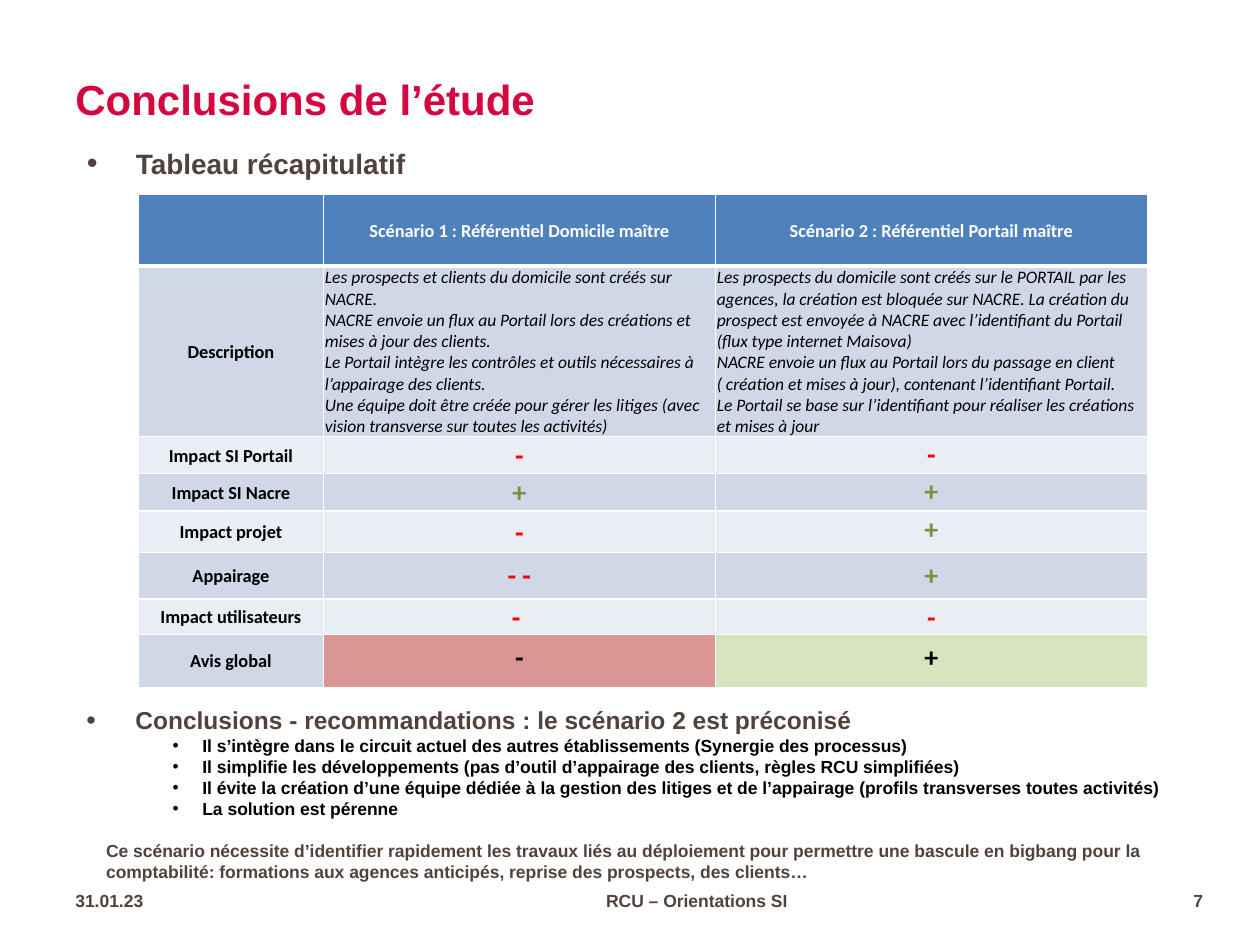
"""Build the slide that sums up the study and recommends scenario 2."""
from dataclasses import dataclass

from lxml import etree
from pptx import Presentation
from pptx import util as u
from pptx.dml.color import RGBColor
from pptx.enum import text
from pptx.oxml import ns


@dataclass(frozen=True)
class Theme:
    body_font: str = "Arial"
    table_font: str = "Calibri"
    title: str = "D40740"
    brown: str = "52423C"
    black: str = "000000"
    white: str = "FFFFFF"
    header: str = "4F81BD"
    dark_band: str = "D0D8E8"
    light_band: str = "E9EDF4"
    bad: str = "FF0000"
    good: str = "77933C"
    bad_fill: str = "D99694"
    good_fill: str = "D7E4BD"
    title_size: float = 24
    heading_size: float = 16
    subheading_size: float = 14
    small_size: float = 10
    label_size: float = 10.5
    mark_size: float = 16


theme = Theme()
ALIGN, ANCHOR = text.PP_ALIGN, text.MSO_ANCHOR


def write(frame, lines, size, color, name=theme.body_font, align=ALIGN.LEFT, bold=True, italic=False):
    paras = []
    for line in lines:
        para = frame.add_paragraph() if frame.text else frame.paragraphs[0]
        para.text, para.alignment = line, align
        para.font.name, para.font.size = name, u.Pt(size)
        para.font.bold, para.font.italic = bold, italic
        para.font.color.rgb = RGBColor.from_string(color)
        paras.append(para)
    return paras


def indent(para, left, first, bullet_percent=100):
    props = para._p.get_or_add_pPr()
    props.set("marL", str(u.Cm(left)))
    props.set("indent", str(u.Cm(first)))
    if first:
        etree.SubElement(props, ns.qn("a:buSzPct"), val=str(bullet_percent * 1000))
        etree.SubElement(props, ns.qn("a:buFont"), typeface=theme.body_font)
        etree.SubElement(props, ns.qn("a:buChar"), char="•")


deck = Presentation()
deck.slide_width, deck.slide_height = u.Cm(25.4), u.Cm(19.05)
page = deck.slides.add_slide(deck.slide_layouts[6])

boxes = {
    "title": (1.27, 0.74, 18.97, 2.64, ANCHOR.MIDDLE),
    "heading": (1.5, 2.82, 20.22, 1.09, ANCHOR.TOP),
    "date": (1.27, 17.65, 3.61, 1.02, ANCHOR.MIDDLE),
    "footer": (4.95, 17.65, 18.19, 1.02, ANCHOR.MIDDLE),
    "number": (23.18, 17.65, 1.32, 1.02, ANCHOR.MIDDLE),
    "conclusions": (1.49, 14.09, 23.01, 4.57, ANCHOR.TOP),
}
frames = {}
for label, (*place, anchor) in boxes.items():
    box = page.shapes.add_textbox(*map(u.Cm, place))
    frames[label] = box.text_frame
    frames[label].word_wrap, frames[label].vertical_anchor = True, anchor

title, = write(frames["title"], ["Conclusions de l’étude"], theme.title_size, theme.title)
title.line_spacing = 0.9
heading, = write(frames["heading"], ["Tableau récapitulatif"], theme.heading_size, theme.brown)
indent(heading, 0.99, -0.99, 110)

for label, line, align in (
    ("date", "31.01.23", ALIGN.LEFT),
    ("footer", "RCU – Orientations SI", ALIGN.CENTER),
    ("number", "7", ALIGN.RIGHT),
):
    write(frames[label], [line], theme.small_size, theme.brown, align=align)

scenarios = ["", "Scénario 1 : Référentiel Domicile maître", "Scénario 2 : Référentiel Portail maître"]
descriptions = [
    [
        "Les prospects et clients du domicile sont créés sur NACRE.",
        "NACRE envoie un flux au Portail lors des créations et mises à jour des clients.",
        "Le Portail intègre les contrôles et outils nécessaires à l’appairage des clients.",
        "Une équipe doit être créée pour gérer les litiges (avec vision transverse sur toutes les activités)",
    ],
    [
        "Les prospects du domicile sont créés sur le PORTAIL par les agences, la création est bloquée sur NACRE. "
        "La création du prospect est envoyée à NACRE avec l’identifiant du Portail (flux type internet Maisova)",
        "NACRE envoie un flux au Portail lors du passage en client ( création et mises à jour), "
        "contenant l’identifiant Portail.",
        "Le Portail se base sur l’identifiant pour réaliser les créations et mises à jour",
    ],
]
rows = [
    (1.44, scenarios),
    (3.44, ["Description", *descriptions]),
    (0.75, ["Impact SI Portail", "-", "-"]),
    (0.75, ["Impact SI Nacre", "+", "+"]),
    (0.84, ["Impact projet", "-", "+"]),
    (0.94, ["Appairage", "- -", "+"]),
    (0.71, ["Impact utilisateurs", "- ", "-"]),
    (1.07, ["Avis global", "-", "+"]),
]
widths = [3.73, 7.9, 8.71]
padded_rows = ("Appairage", "Avis global")

table = page.shapes.add_table(
    len(rows), len(widths), u.Cm(2.79), u.Cm(3.92), u.Cm(sum(widths)), u.Cm(sum(height for height, _ in rows))
).table
for column, width in zip(table.columns, widths):
    column.width = u.Cm(width)

for row_index, (height, values) in enumerate(rows):
    table.rows[row_index].height = u.Cm(height)
    is_header, is_verdict = row_index == 0, row_index == len(rows) - 1
    is_padded = values[0] in padded_rows
    for column_index, value in enumerate(values):
        cell = table.cell(row_index, column_index)
        is_mark = row_index > 1 and column_index > 0
        for side in "LRTB":
            is_thick = (is_header and side == "B") or (row_index == 1 and side == "T")
            border = etree.SubElement(
                cell._tc.get_or_add_tcPr(), ns.qn(f"a:ln{side}"), w=str(u.Pt(3 if is_thick else 1))
            )
            solid = etree.SubElement(border, ns.qn("a:solidFill"))
            etree.SubElement(solid, ns.qn("a:srgbClr"), val=theme.white)

        fill = theme.header if is_header else theme.dark_band if row_index % 2 else theme.light_band
        if is_verdict and is_mark:
            fill = theme.good_fill if value == "+" else theme.bad_fill
        cell.fill.solid()
        cell.fill.fore_color.rgb = RGBColor.from_string(fill)

        if not value:
            continue
        if not is_padded:
            cell.margin_left = cell.margin_right = cell.margin_top = u.Cm(0.03)
            cell.margin_bottom = 0
        is_top = not is_header and (column_index == 2 or (is_padded and is_mark))
        cell.vertical_anchor = ANCHOR.TOP if is_top else ANCHOR.MIDDLE

        if isinstance(value, list):
            write(cell.text_frame, value, theme.small_size, theme.black, theme.table_font, bold=False, italic=True)
            continue
        color = theme.white if is_header else theme.black
        if is_mark and not is_verdict:
            color = theme.good if value == "+" else theme.bad
        size = theme.mark_size if is_mark else theme.label_size
        write(cell.text_frame, [value], size, color, theme.table_font, ALIGN.CENTER)

conclusions = frames["conclusions"]
recommendation, = write(
    conclusions,
    ["Conclusions - recommandations : le scénario 2 est préconisé"],
    theme.subheading_size,
    theme.brown,
)
indent(recommendation, 0.99, -0.99, 110)
reasons = [
    "Il s’intègre dans le circuit actuel des autres établissements (Synergie des processus)",
    "Il simplifie les développements (pas d’outil d’appairage des clients, règles RCU simplifiées)",
    "Il évite la création d’une équipe dédiée à la gestion des litiges et de l’appairage "
    "(profils transverses toutes activités)",
    "La solution est pérenne",
]
for reason in write(conclusions, reasons, theme.small_size, theme.black):
    reason.level = 2
    indent(reason, 2.34, -0.6)
caveat, = write(
    conclusions,
    [
        "Ce scénario nécessite d’identifier rapidement les travaux liés au déploiement pour permettre une bascule "
        "en bigbang pour la comptabilité: formations aux agences anticipés, reprise des prospects, des clients…"
    ],
    theme.small_size,
    theme.brown,
)
caveat.space_before = u.Pt(12)
indent(caveat, 0.4, 0)

deck.save("out.pptx")
